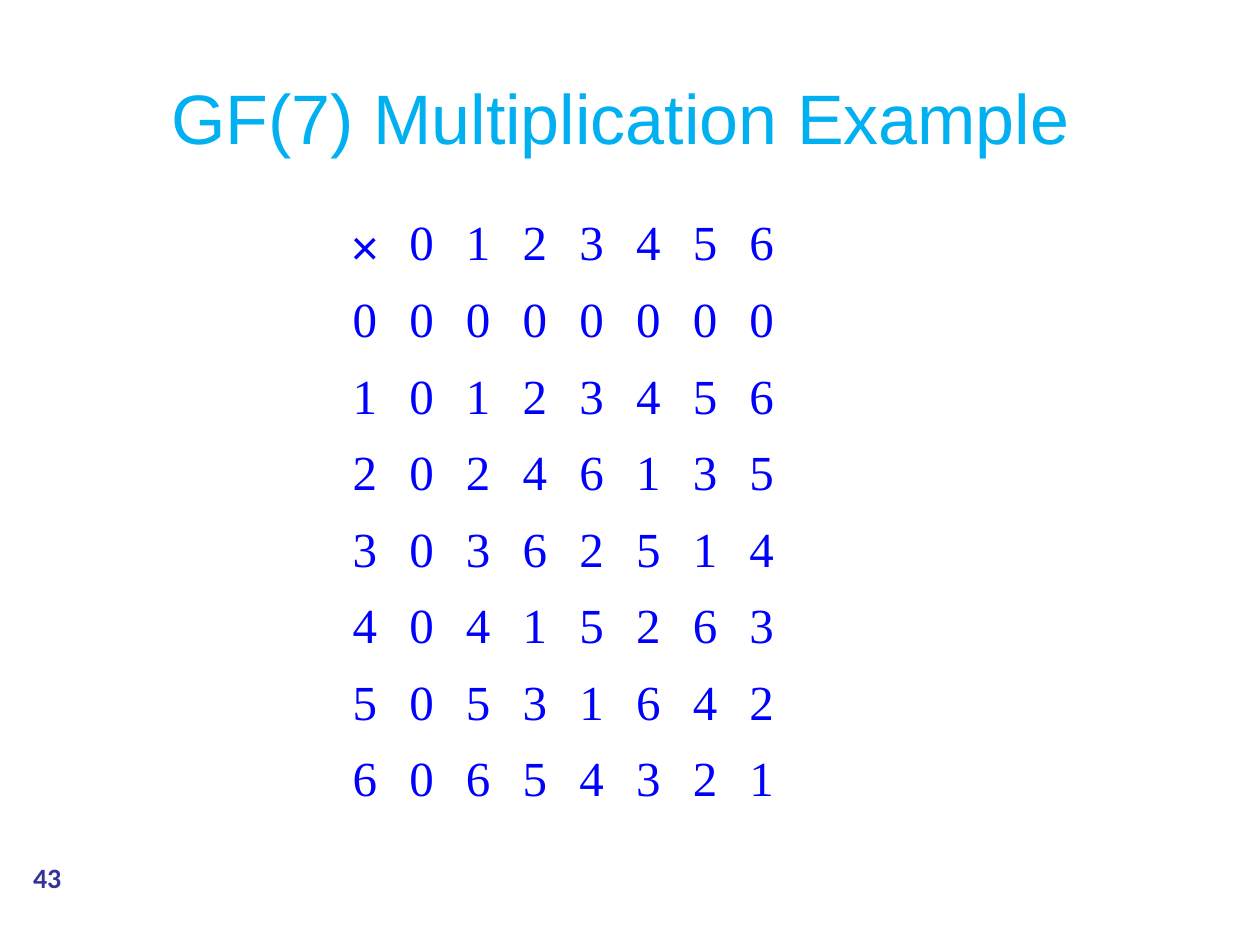
from dataclasses import dataclass

from pptx import Presentation
from pptx.dml.color import RGBColor
from pptx.enum.shapes import MSO_SHAPE
from pptx.enum.text import MSO_ANCHOR, PP_ALIGN
from pptx.util import Inches, Pt

OVAL = MSO_SHAPE.OVAL
MIDDLE = MSO_ANCHOR.MIDDLE
CENTER = PP_ALIGN.CENTER


@dataclass(frozen=True)
class Type:
    face: str
    size: int
    color: str
    bold: bool = False


@dataclass(frozen=True)
class Theme:
    paper: str = "FFFFFF"
    title: Type = Type("Arial", 40, "00B0F0")
    sign: Type = Type("Arial", 28, "0000FF")
    digit: Type = Type("Times New Roman", 28, "0000FF")
    number: Type = Type("Calibri", 16, "333399", True)


class Deck:
    """Draws styled elements on the current slide."""

    def __init__(self, theme):
        self.theme = theme
        self.deck = Presentation()
        self.deck.slide_width, self.deck.slide_height = Inches(10), Inches(7.5)
        self.slide = self.deck.slides.add_slide(self.deck.slide_layouts[6])

    def label(self, frame, text, style):
        para = frame.paragraphs[0]
        para.alignment = CENTER
        run = para.add_run()
        run.text = text
        font = run.font
        font.name, font.size, font.bold = style.face, Pt(style.size), style.bold
        font.color.rgb = RGBColor.from_string(style.color)
        return para

    def title(self, text, *box):
        frame = self.slide.shapes.add_textbox(*map(Inches, box)).text_frame
        frame.word_wrap = True
        frame.vertical_anchor = MIDDLE
        self.label(frame, text, self.theme.title)

    def number(self, text, *box):
        oval = self.slide.shapes.add_shape(OVAL, *map(Inches, box))
        oval.shadow.inherit = False
        paper = RGBColor.from_string(self.theme.paper)
        oval.fill.solid()
        oval.fill.fore_color.rgb = paper
        oval.line.color.rgb = paper
        oval.line.width = Pt(2)
        frame = oval.text_frame
        frame.margin_left = frame.margin_right = 0
        frame.margin_top = frame.margin_bottom = 0
        frame.vertical_anchor = MIDDLE
        self.label(frame, text, self.theme.number)

    def grid(self, rows, *box):
        shape = self.slide.shapes.add_table(len(rows), len(rows[0]), *map(Inches, box))
        table = shape.table
        table.first_row = table.horz_banding = False
        for row, values in zip(table.rows, rows):
            for cell, value in zip(row.cells, values):
                self.cell(cell, str(value))

    def cell(self, cell, text):
        digit = text.isdigit()
        cell.fill.background()
        cell.margin_left = cell.margin_right = Inches(0.1)
        cell.margin_top = Inches(0.08 if digit else 0.05)
        cell.margin_bottom = Inches(0.05)
        style = self.theme.digit if digit else self.theme.sign
        para = self.label(cell.text_frame, text, style)
        para.line_spacing = 0.93 if digit else 1.09
        para.space_before = para.space_after = Pt(3)


def main():
    order = 7
    field = range(order)
    rows = [["×", *field]]
    rows += [[a, *(a * b % order for b in field)] for a in field]

    page = Deck(Theme())
    page.number("43", 0, 6.8, 0.75, 0.33)
    page.title("GF(7) Multiplication Example ", 0.5, 0.3, 9, 1.25)
    page.grid(rows, 2.67, 1.67, 3.6, 4.86)
    page.deck.save("out.pptx")


if __name__ == "__main__":
    main()
